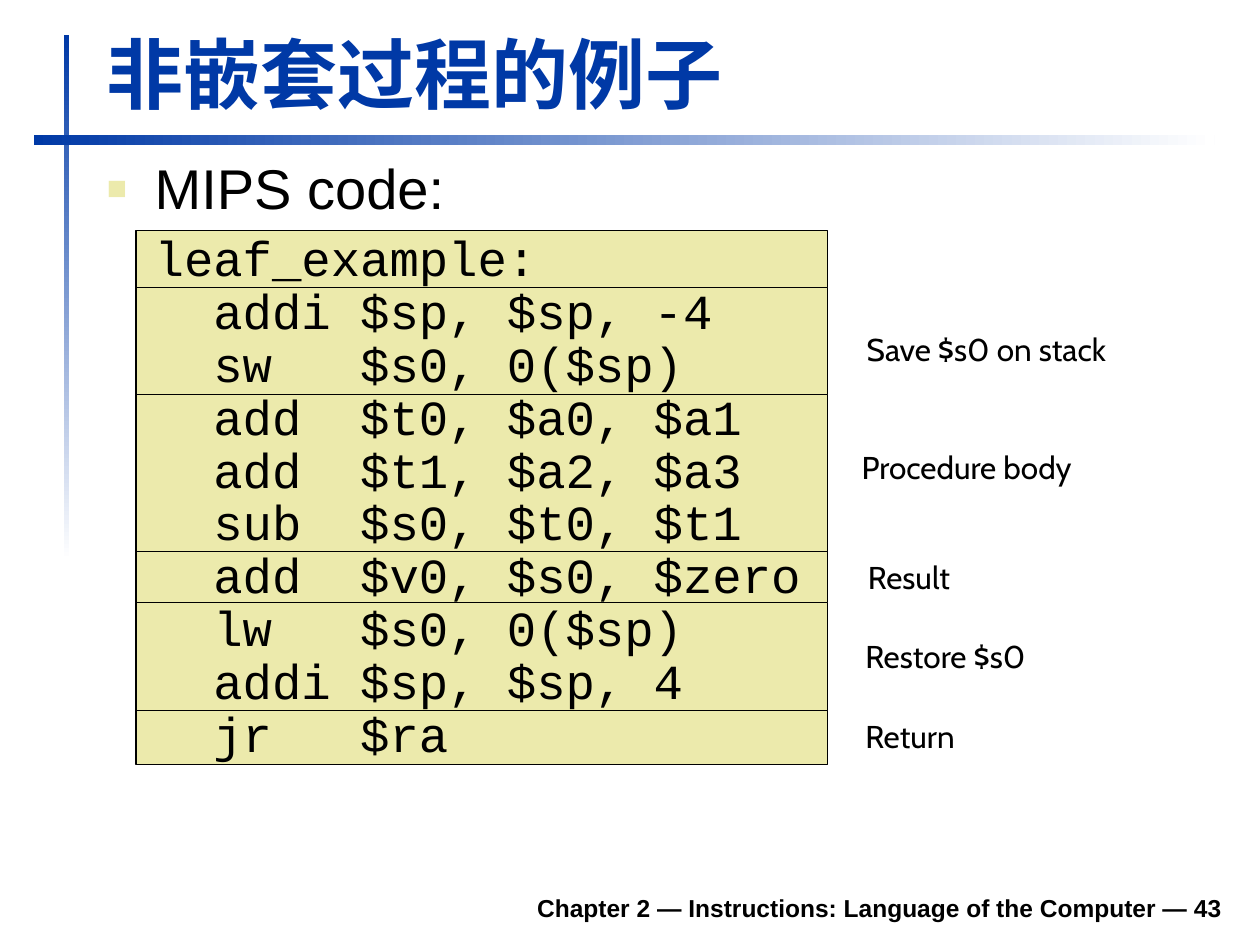
from dataclasses import dataclass
from itertools import pairwise

from lxml.etree import SubElement as Sub
from pptx import Presentation
from pptx.dml.color import RGBColor as Rgb
from pptx.enum.shapes import MSO_SHAPE as Shape
from pptx.enum.text import MSO_ANCHOR as Anchor, PP_ALIGN as Align
from pptx.oxml.ns import qn
from pptx.util import Inches, Pt


@dataclass(frozen=True)
class Theme:
    blue: str = "0039A6"
    sand: str = "ECEAAC"
    black: str = "000000"
    white: str = "FFFFFF"
    sans: str = "Arial"
    mono: str = "Courier New"
    note: str = "Cabin"
    title: int = 44
    body: int = 32
    code: int = 28
    label: int = 18
    foot: int = 14


T = Theme()

CODE = """leaf_example:
  addi $sp, $sp, -4
  sw   $s0, 0($sp)
  add  $t0, $a0, $a1
  add  $t1, $a2, $a3
  sub  $s0, $t0, $t1
  add  $v0, $s0, $zero
  lw   $s0, 0($sp)
  addi $sp, $sp, 4
  jr   $ra"""

# Edges between the code bands, top to bottom
EDGES = [1.83, 2.28, 3.13, 4.38, 4.78, 5.64, 6.07]

# Label: text, left, top, width
LABELS = [
    ("Save $s0 on stack", 6.78, 2.57, 2.25),
    ("Procedure body", 6.74, 3.51, 2.07),
    ("Result", 6.79, 4.38, 0.92),
    ("Restore $s0", 6.77, 5.01, 1.57),
    ("Return", 6.77, 5.64, 1),
]


def add_rect(slide, x, y, w, h):
    rect = slide.shapes.add_shape(
        Shape.RECTANGLE, Inches(x), Inches(y), Inches(w), Inches(h))
    rect.shadow.inherit = False
    return rect


def add_fade(slide, x, y, w, h, angle):
    bar = add_rect(slide, x, y, w, h)
    bar.line.fill.background()
    bar.fill.gradient()
    bar.fill.gradient_angle = angle
    for stop, color in zip(bar.fill.gradient_stops, (T.blue, T.white)):
        stop.color.rgb = Rgb.from_string(color)


def add_band(slide, top, end):
    band = add_rect(slide, 1.08, top, 5.49, end - top)
    band.fill.solid()
    band.fill.fore_color.rgb = Rgb.from_string(T.sand)
    band.line.color.rgb = Rgb.from_string(T.black)
    band.line.width = Pt(0.75)


def add_box(slide, x, y, w, h, anchor=Anchor.TOP, wrap=True):
    box = slide.shapes.add_textbox(Inches(x), Inches(y), Inches(w), Inches(h))
    frame = box.text_frame
    frame.word_wrap = wrap
    frame.vertical_anchor = anchor
    return frame


def put_text(para, text, size, font=T.sans, color=T.black, bold=False,
             align=Align.LEFT):
    para.text = text
    para.alignment = align
    for run in para.runs:
        run.font.size = Pt(size)
        run.font.name = font
        run.font.bold = bold
        run.font.color.rgb = Rgb.from_string(color)


def set_indent(para, left, first=0):
    props = para._p.get_or_add_pPr()
    props.set("marL", str(Inches(left)))
    props.set("indent", str(Inches(first)))
    return props


def add_bullet(para):
    props = set_indent(para, 0.38, -0.38)
    Sub(Sub(props, qn("a:buClr")), qn("a:srgbClr"), val=T.sand)
    Sub(props, qn("a:buSzPct"), val="60000")
    Sub(props, qn("a:buFont"), typeface=T.sans)
    Sub(props, qn("a:buChar"), char="■")


def add_body(slide):
    frame = add_box(slide, 0.75, 1.23, 9.04, 5.59)
    head = frame.paragraphs[0]
    add_bullet(head)
    put_text(head, "MIPS code:", T.body)
    code = frame.add_paragraph()
    set_indent(code, 0.38)
    put_text(code, CODE, T.code, font=T.mono)
    code.space_before = Pt(7)
    head.line_spacing = code.line_spacing = 0.9


def main():
    deck = Presentation()
    deck.slide_width, deck.slide_height = Inches(10), Inches(7.5)
    slide = deck.slides.add_slide(deck.slide_layouts[6])

    # Crossed bars
    add_fade(slide, 0.51, 0.28, 0.04, 4.17, 270)
    add_fade(slide, 0.27, 1.07, 9.37, 0.08, 0)

    # Footer
    foot = add_box(slide, 1.85, 6.98, 7.95, 0.39, Anchor.BOTTOM)
    put_text(foot.paragraphs[0],
             "Chapter 2 — Instructions: Language of the Computer — 43",
             T.foot, bold=True, align=Align.RIGHT)

    # Bands behind the code
    for top, end in pairwise(EDGES):
        add_band(slide, top, end)

    # Title and code
    title = add_box(slide, 0.75, 0.16, 9.03, 0.83, Anchor.BOTTOM)
    put_text(title.paragraphs[0], "非嵌套过程的例子", T.title,
             color=T.blue, bold=True)
    add_body(slide)

    # Labels beside the bands
    for text, x, y, w in LABELS:
        label = add_box(slide, x, y, w, 0.4, wrap=False)
        put_text(label.paragraphs[0], text, T.label, font=T.note)

    deck.save("out.pptx")


if __name__ == "__main__":
    main()
